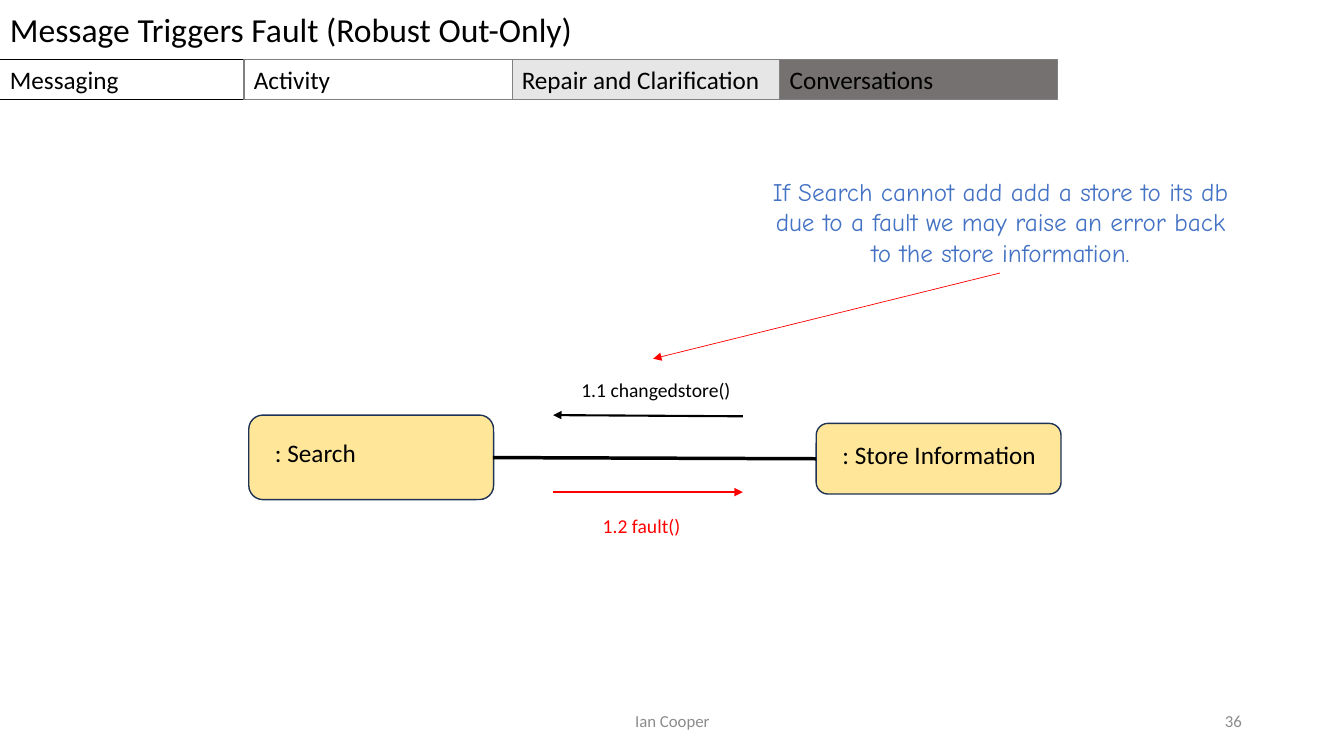
from dataclasses import dataclass
from typing import Optional

import pptx
import pptx.dml.color
import pptx.enum.shapes
import pptx.enum.text
import pptx.oxml.ns
import pptx.util
from lxml import etree

Cm = pptx.util.Cm
Pt = pptx.util.Pt
RGBColor = pptx.dml.color.RGBColor
Shape = pptx.enum.shapes.MSO_SHAPE
Align = pptx.enum.text.PP_ALIGN
Anchor = pptx.enum.text.MSO_ANCHOR

BLACK = RGBColor(0x00, 0x00, 0x00)
WHITE = RGBColor(0xFF, 0xFF, 0xFF)
RED = RGBColor(0xFF, 0x00, 0x00)
BLUE = RGBColor(0x44, 0x72, 0xC4)
GRAY = RGBColor(0x80, 0x80, 0x80)
FOOTER_GRAY = RGBColor(0x8C, 0x8C, 0x8C)
LIGHT_GRAY = RGBColor(0xE7, 0xE6, 0xE6)
DARK_GRAY = RGBColor(0x76, 0x71, 0x71)
YELLOW = RGBColor(0xFF, 0xE6, 0x99)
NAVY = RGBColor(0x1E, 0x32, 0x56)


@dataclass
class Area:
    left: float
    top: float
    width: float
    height: float

    def lengths(self) -> tuple:
        return Cm(self.left), Cm(self.top), Cm(self.width), Cm(self.height)


@dataclass
class Label:
    text: str
    area: Area
    size: float = 18
    color: RGBColor = BLACK
    align: Align = Align.LEFT
    anchor: Anchor = Anchor.TOP
    font: str = "Calibri"


@dataclass
class Panel:
    area: Area
    fill: RGBColor
    line: RGBColor
    weight: float
    kind: Shape = Shape.RECTANGLE
    label: Optional[Label] = None


@dataclass
class Link:
    start: tuple
    end: tuple
    color: RGBColor
    weight: float
    arrow: bool = True


def tab(text: str, left: float, width: float, fill: RGBColor, line: RGBColor = GRAY) -> Panel:
    area = Area(left, 1.5, width, 1.02)
    return Panel(area, fill, line, 0.75, label=Label(text, area))


def role(area: Area) -> Panel:
    return Panel(area, YELLOW, NAVY, 1, Shape.ROUNDED_RECTANGLE)


TITLE = Label("Message Triggers Fault (Robust Out-Only)", Area(0, -0.03, 33.87, 1.55), size=24)

PANELS = [
    tab("Messaging", 0, 6.17, WHITE, BLACK),
    tab("Repair and Clarification", 12.9, 6.76, LIGHT_GRAY),
    tab("Conversations", 19.65, 6.99, DARK_GRAY),
    tab("Activity", 6.15, 6.76, WHITE),
    role(Area(6.27, 10.46, 6.17, 2.13)),
    role(Area(20.57, 10.67, 6.17, 1.78)),
]

LINKS = [
    Link((12.42, 11.53), (20.57, 11.56), BLACK, 2.5, arrow=False),
    Link((18.72, 10.49), (13.94, 10.46), BLACK, 1.5),
    Link((13.94, 12.4), (18.72, 12.4), RED, 1.5),
    Link((25.2, 6.88), (16.46, 9.04), RED, 0.5),
]

LABELS = [
    Label(": Search", Area(6.68, 10.9, 5.59, 1.02)),
    Label(": Store Information", Area(20.98, 10.95, 5.74, 1.02)),
    Label("1.1 changedstore()", Area(14.4, 9.4, 4.4, 0.86), size=14),
    Label("1.2 fault()", Area(14.94, 12.83, 2.82, 0.86), size=14, color=RED),
    Label(
        "If Search cannot add add a store to its db due to a fault "
        "we may raise an error back to the store information.",
        Area(19.18, 4.32, 12.07, 2.57), color=BLUE, align=Align.CENTER, font="Comic Neue",
    ),
    Label("Ian Cooper", Area(11.23, 17.65, 11.43, 1.02), 12, FOOTER_GRAY, Align.CENTER, Anchor.MIDDLE),
    Label("36", Area(23.93, 17.65, 7.62, 1.02), 12, FOOTER_GRAY, Align.RIGHT, Anchor.MIDDLE),
]


def write(shape: pptx.shapes.base.BaseShape, label: Label) -> None:
    frame = shape.text_frame
    frame.word_wrap = True
    frame.auto_size = pptx.enum.text.MSO_AUTO_SIZE.NONE
    frame.vertical_anchor = label.anchor
    para = frame.paragraphs[0]
    para.alignment = label.align
    span = para.add_run()
    span.text = label.text
    span.font.name = label.font
    span.font.size = Pt(label.size)
    span.font.color.rgb = label.color


def place_title(slide: pptx.slide.Slide) -> None:
    title = slide.shapes.title
    title.left, title.top, title.width, title.height = TITLE.area.lengths()
    title.fill.solid()
    title.fill.fore_color.rgb = WHITE
    write(title, TITLE)
    frame = title.text_frame
    frame.margin_left = frame.margin_right = frame.margin_top = frame.margin_bottom = Cm(0.25)


def draw_panel(slide: pptx.slide.Slide, panel: Panel) -> None:
    shape = slide.shapes.add_shape(panel.kind, *panel.area.lengths())
    shape.shadow.inherit = False
    shape.fill.solid()
    shape.fill.fore_color.rgb = panel.fill
    shape.line.color.rgb = panel.line
    shape.line.width = Pt(panel.weight)
    if panel.label:
        write(shape, panel.label)


def draw_link(slide: pptx.slide.Slide, link: Link) -> None:
    ends = [Cm(value) for value in (*link.start, *link.end)]
    connector = slide.shapes.add_connector(pptx.enum.shapes.MSO_CONNECTOR.STRAIGHT, *ends)
    connector.line.color.rgb = link.color
    connector.line.width = Pt(link.weight)
    qn = pptx.oxml.ns.qn
    properties = connector.element.spPr
    if link.arrow:
        etree.SubElement(properties.find(qn("a:ln")), qn("a:tailEnd"), type="triangle")
    etree.SubElement(properties, qn("a:effectLst"))


def main() -> None:
    deck = pptx.Presentation()
    deck.slide_width, deck.slide_height = Cm(33.87), Cm(19.05)
    slide = deck.slides.add_slide(deck.slide_layouts.get_by_name("Title Only"))
    place_title(slide)
    for panel in PANELS:
        draw_panel(slide, panel)
    for link in LINKS:
        draw_link(slide, link)
    for label in LABELS:
        write(slide.shapes.add_textbox(*label.area.lengths()), label)
    deck.save("out.pptx")


if __name__ == "__main__":
    main()
